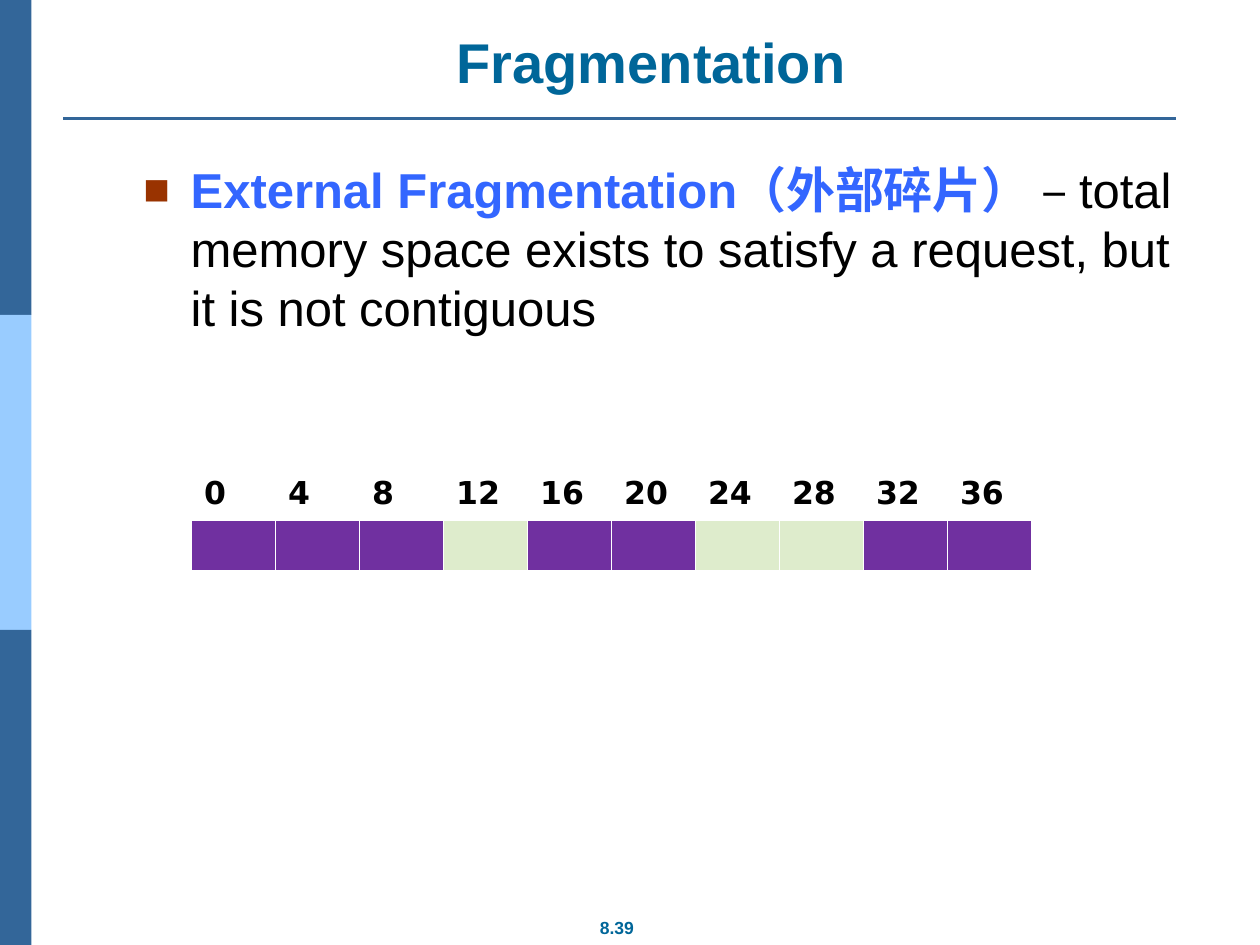
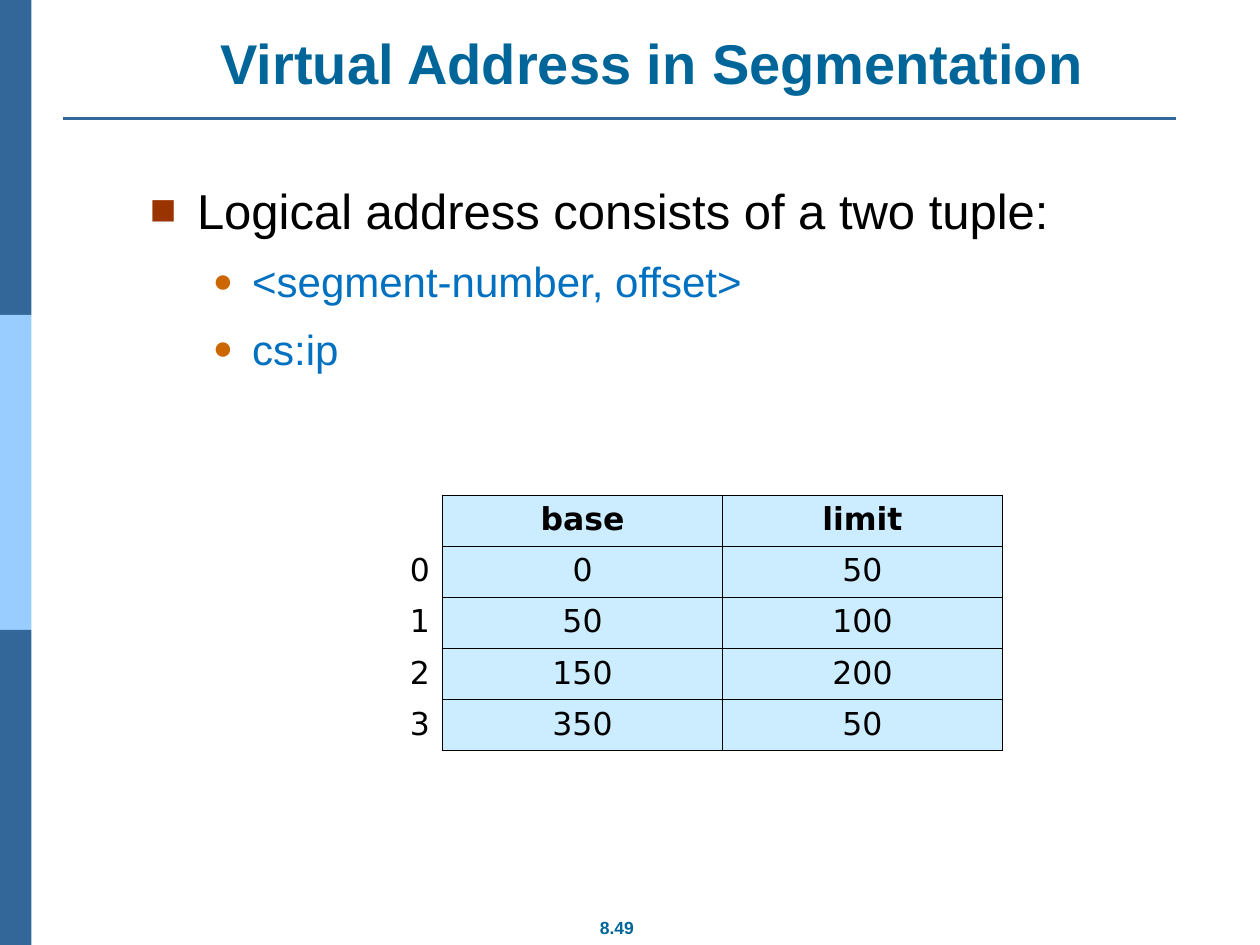
from dataclasses import dataclass

from lxml.etree import SubElement
from pptx import Presentation
from pptx.dml.color import RGBColor
from pptx.enum.shapes import MSO_CONNECTOR as Connector, MSO_SHAPE as Shape
from pptx.enum.text import MSO_ANCHOR as Anchor, PP_ALIGN as Align
from pptx.oxml.ns import qn
from pptx.util import Pt


@dataclass(frozen=True)
class Theme:
    # Typefaces and sizes
    text_font: str = "Arial"
    table_font: str = "DejaVu Sans"
    title_size: float = 32
    body_size: float = 28
    sub_size: float = 24
    table_size: float = 18
    page_size: float = 10
    # Colours
    title: str = "006699"
    band: str = "336699"
    band_light: str = "99CCFF"
    text: str = "000000"
    term: str = "3366FF"
    example: str = "0070C0"
    square: str = "993300"
    dot: str = "CC6600"
    used: str = "7030A0"
    free: str = "DEECCC"
    segment: str = "CCECFF"
    grid_light: str = "FFFFFF"


@dataclass(frozen=True)
class Box:
    left: float
    top: float
    width: float
    height: float

    def lengths(self):
        return Pt(self.left), Pt(self.top), Pt(self.width), Pt(self.height)


@dataclass(frozen=True)
class Bullet:
    character: str
    color: str
    percent: int
    margin: float
    hanging: float
    size: float


THEME = Theme()
PAGE = Box(0, 0, 720, 540)
SQUARE = Bullet("■", THEME.square, 90, 27, 27, THEME.body_size)
DOT = Bullet("●", THEME.dot, 80, 58.5, 22.5, THEME.sub_size)


def rgb(color):
    return RGBColor.from_string(color)


def style_font(font, size, color, bold=False, name=THEME.text_font):
    font.name = name
    font.size = Pt(size)
    font.bold = bold
    font.color.rgb = rgb(color)


def add_text_frame(slide, box, wrap=True):
    frame = slide.shapes.add_textbox(*box.lengths()).text_frame
    frame.word_wrap = wrap
    return frame


# Shared slide frame: side bands, rule, title and page number
def add_bands(slide, box):
    height = box.height / 3
    for index, color in enumerate((THEME.band, THEME.band_light, THEME.band)):
        part = Box(box.left, box.top + index * height, box.width, height)
        band = slide.shapes.add_shape(Shape.RECTANGLE, *part.lengths())
        band.shadow.inherit = False
        band.fill.solid()
        band.fill.fore_color.rgb = rgb(color)
        band.line.fill.background()


def add_rule(slide, box):
    y = Pt(box.top)
    rule = slide.shapes.add_connector(
        Connector.STRAIGHT, Pt(box.left), y, Pt(box.left + box.width), y)
    rule.line.color.rgb = rgb(THEME.band)
    rule.line.width = Pt(1.5)
    SubElement(rule.element.spPr, qn("a:effectLst"))


def add_centred_line(slide, box, text, size, wrap=True):
    frame = add_text_frame(slide, box, wrap)
    frame.vertical_anchor = Anchor.BOTTOM if wrap else Anchor.TOP
    paragraph = frame.paragraphs[0]
    paragraph.text = text
    paragraph.alignment = Align.CENTER
    style_font(paragraph.font, size, THEME.title, bold=True)


def add_framed_slide(presentation, title, title_box, page_number):
    slide = presentation.slides.add_slide(presentation.slide_layouts[6])
    add_bands(slide, Box(0, 0, 18, PAGE.height))
    add_rule(slide, Box(36, 67.7, 636, 0))
    add_centred_line(slide, Box(334.8, 520.5, 35.3, 19.4), page_number,
                     THEME.page_size, wrap=False)
    add_centred_line(slide, title_box, title, THEME.title_size)
    return slide


# Bulleted body text; each item is a bullet and its (text, colour, bold) runs
def set_bullet(paragraph, bullet):
    properties = paragraph._p.get_or_add_pPr()
    properties.set("marL", str(Pt(bullet.margin)))
    properties.set("indent", str(-Pt(bullet.hanging)))
    color = SubElement(properties, qn("a:buClr"))
    SubElement(color, qn("a:srgbClr"), val=bullet.color)
    SubElement(properties, qn("a:buSzPct"), val=str(bullet.percent * 1000))
    SubElement(properties, qn("a:buFont"), typeface=THEME.text_font)
    SubElement(properties, qn("a:buChar"), char=bullet.character)


def add_body(slide, box, items):
    frame = add_text_frame(slide, box)
    for index, (bullet, runs) in enumerate(items):
        paragraph = frame.add_paragraph() if index else frame.paragraphs[0]
        set_bullet(paragraph, bullet)
        if index:
            paragraph.space_before = Pt(9.6)
        style_font(paragraph.font, bullet.size, runs[0][1], runs[0][2])
        for text, color, bold in runs:
            run = paragraph.add_run()
            run.text = text
            if len(runs) > 1:
                run.font.bold = bold
                run.font.color.rgb = rgb(color)


# Tables
def add_plain_table(slide, box, rows, columns):
    table = slide.shapes.add_table(rows, columns, *box.lengths()).table
    table.first_row = table.horz_banding = False
    for row in table.rows:
        row.height = Pt(box.height / rows)
    for column in table.columns:
        column.width = Pt(box.width / columns)
    return table


def format_cell(cell, text, fill, border, sides="LRTB", align=Align.LEFT,
                bold=False):
    properties = cell._tc.get_or_add_tcPr()
    for side in "LRTB":
        line = SubElement(properties, qn(f"a:ln{side}"), w=str(Pt(1)))
        if side in sides:
            solid = SubElement(line, qn("a:solidFill"))
            SubElement(solid, qn("a:srgbClr"), val=border)
        else:
            SubElement(line, qn("a:noFill"))
    if fill:
        cell.fill.solid()
        cell.fill.fore_color.rgb = rgb(fill)
    else:
        cell.fill.background()
    paragraph = cell.text_frame.paragraphs[0]
    paragraph.text = text
    paragraph.alignment = align
    style_font(paragraph.font, THEME.table_size, THEME.text, bold,
               THEME.table_font)


def add_memory_map(slide, box, blocks, block_size):
    """Draw blocks, U for used and F for free, under their addresses."""
    table = add_plain_table(slide, box, 2, len(blocks))
    fills = {"U": THEME.used, "F": THEME.free}
    for column, block in enumerate(blocks):
        format_cell(table.cell(0, column), str(column * block_size), None,
                    THEME.grid_light, bold=True)
        format_cell(table.cell(1, column), "", fills[block], THEME.grid_light)


def add_segment_table(slide, box, headings, segments):
    rows = [("", *headings)]
    rows += [(number, *segment) for number, segment in enumerate(segments)]
    table = add_plain_table(slide, box, len(rows), len(rows[0]))
    for row, values in enumerate(rows):
        for column, value in enumerate(values):
            cell = table.cell(row, column)
            if column == 0:
                format_cell(cell, str(value), None, THEME.text, "R",
                            Align.RIGHT)
            else:
                format_cell(cell, str(value), THEME.segment, THEME.text,
                            align=Align.CENTER, bold=row == 0)


# Slides
def build_fragmentation(presentation):
    slide = add_framed_slide(presentation, "Fragmentation",
                             Box(67.7, 12.2, 609, 45.4), "8.39")
    add_body(slide, Box(74.9, 87.8, 609, 393.8), [
        (SQUARE, [
            ("External Fragmentation（外部碎片） ", THEME.term, True),
            ("– total memory space exists to satisfy a request, "
             "but it is not contiguous", THEME.text, False),
        ]),
    ])
    add_memory_map(slide, Box(109.5, 268, 480, 58.4), "UUUFUUFFUU", 4)


def build_segmentation(presentation):
    slide = add_framed_slide(presentation, "Virtual Address in Segmentation",
                             Box(61.2, 13, 622.8, 45.4), "8.49")
    add_body(slide, Box(78.5, 99.4, 641.5, 142.6), [
        (SQUARE, [("Logical address consists of a two tuple:",
                   THEME.text, False)]),
        (DOT, [("<segment-number, offset>", THEME.example, False)]),
        (DOT, [("cs:ip", THEME.example, False)]),
    ])
    add_segment_table(slide, Box(92.9, 283, 480, 146), ("base", "limit"),
                      [(0, 50), (50, 100), (150, 200), (350, 50)])


def main():
    presentation = Presentation()
    presentation.slide_width = Pt(PAGE.width)
    presentation.slide_height = Pt(PAGE.height)
    build_fragmentation(presentation)
    build_segmentation(presentation)
    presentation.save("out.pptx")


if __name__ == "__main__":
    main()
